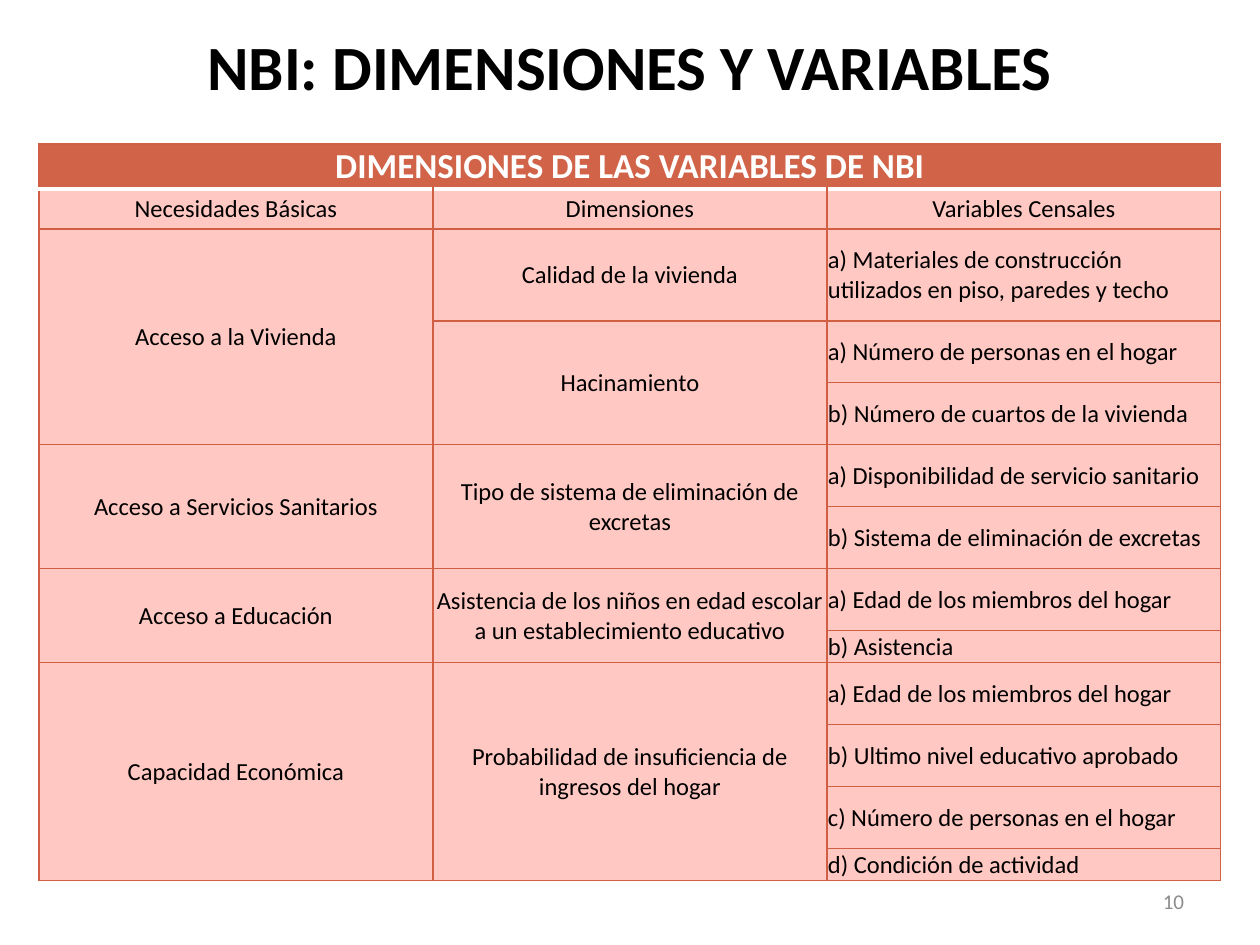
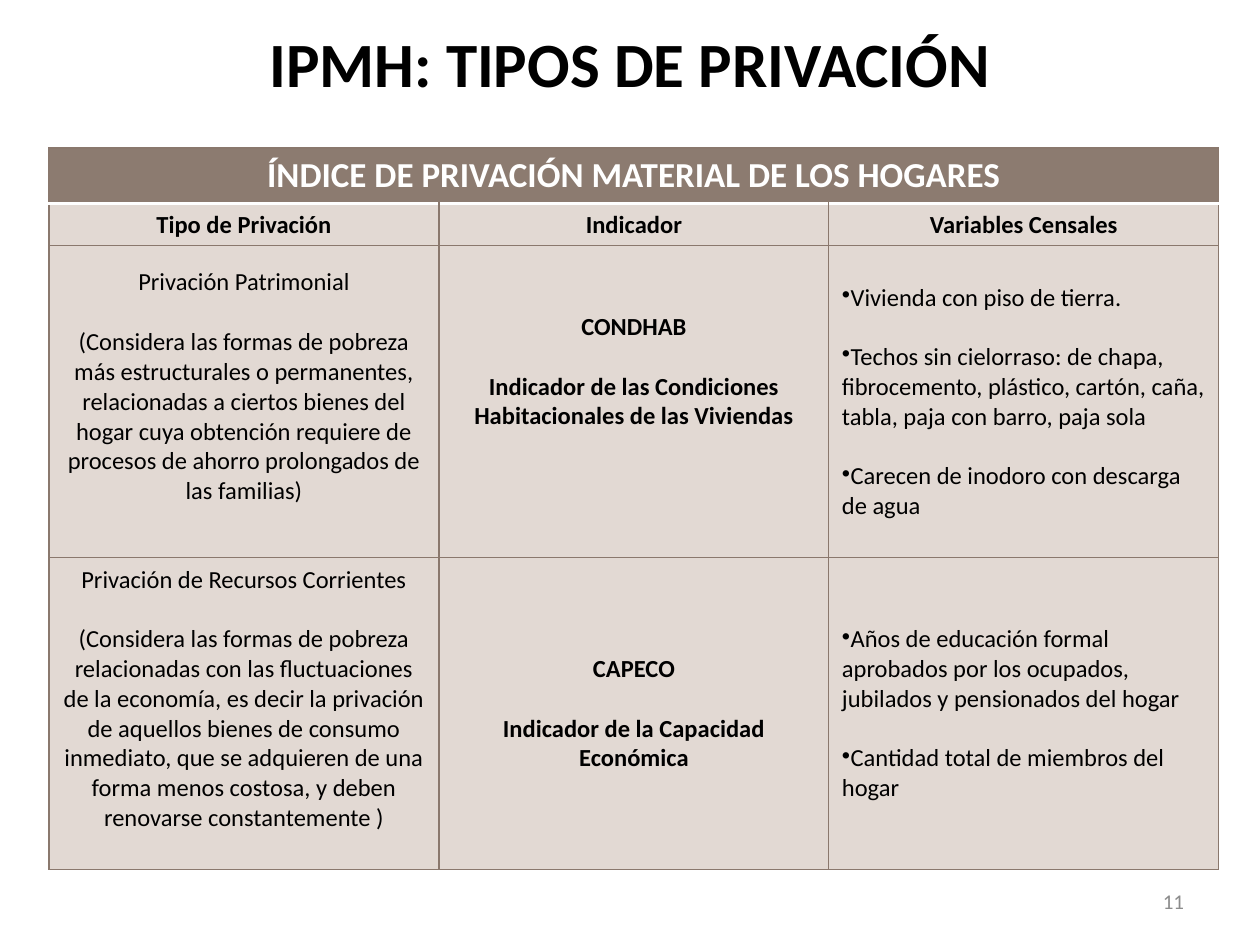
from dataclasses import dataclass

from lxml import etree
from pptx import Presentation
from pptx.dml.color import RGBColor
from pptx.enum.text import MSO_ANCHOR, PP_ALIGN
from pptx.oxml.ns import qn
from pptx.util import Emu, Pt

CENTER, LEFT, RIGHT = PP_ALIGN.CENTER, PP_ALIGN.LEFT, PP_ALIGN.RIGHT
MIDDLE = MSO_ANCHOR.MIDDLE
EMU_PER_PX = 914400 / 126
SLIDE_WIDTH, SLIDE_HEIGHT = 1260, 945
FONT = "Calibri"
TEXT_LINE = 30
COLUMNS = 3
COLORS = {
    "black": "000000",
    "white": "FFFFFF",
    "number": "8C8C8C",
    "red line": "D05F44",
    "red head": "D16349",
    "red body": "FFC8C2",
    "brown line": "8A786D",
    "brown head": "8C7B70",
    "brown body": "E2D9D3",
}
TITLE = {"size": Pt(36), "bold": True, "color": "black"}
HEADING = {"size": Pt(20), "bold": True, "color": "white"}
BODY = {"size": Pt(14), "bold": False, "color": "black"}
STRONG = {**BODY, "bold": True}
NUMBER = {"size": Pt(12), "bold": False, "color": "number"}


@dataclass(frozen=True)
class Entry:
    """Text of one table cell, with the rows it spans and free lines below it."""

    row: int
    column: int
    paragraphs: tuple[str, ...]
    row_span: int = 1
    style: str = "body"
    lines_below: int = 0


@dataclass(frozen=True)
class TableSlide:
    """A titled slide with one three-column table."""

    title: str
    title_height: int
    number: int
    heading: str
    palette: str
    left: int
    top: int
    column_width: int
    row_heights: tuple[int, ...]
    margins: tuple[int, int, int, int]
    entries: tuple[Entry, ...]
    bullets: bool = False


def column_entries(column: int, spans: tuple[tuple[str, int], ...]) -> tuple[Entry, ...]:
    """Stack cells down a column from the second row."""
    entries, row = [], 1
    for text, span in spans:
        entries.append(Entry(row, column, (text,), span))
        row += span
    return tuple(entries)


NEEDS = (
    ("Necesidades Básicas", 1),
    ("Acceso a la Vivienda", 3),
    ("Acceso a Servicios Sanitarios", 2),
    ("Acceso a Educación", 2),
    ("Capacidad Económica", 4),
)
DIMENSIONS = (
    ("Dimensiones", 1),
    ("Calidad de la vivienda", 1),
    ("Hacinamiento", 2),
    ("Tipo de sistema de eliminación de excretas", 2),
    ("Asistencia de los niños en edad escolar a un establecimiento educativo", 2),
    ("Probabilidad de insuficiencia de ingresos del hogar", 4),
)
VARIABLES = (
    "Variables Censales",
    "a) Materiales de construcción utilizados en piso, paredes y techo",
    "a) Número de personas en el hogar",
    "b) Número de cuartos de la vivienda",
    "a) Disponibilidad de servicio sanitario",
    "b) Sistema de eliminación de excretas",
    "a) Edad de los miembros del hogar",
    "b) Asistencia",
    "a) Edad de los miembros del hogar",
    "b) Ultimo nivel educativo aprobado",
    "c) Número de personas en el hogar",
    "d) Condición de actividad",
)
DEPRIVATIONS = (
    Entry(1, 0, ("Tipo de Privación",), style="strong"),
    Entry(1, 1, ("Indicador",), style="strong"),
    Entry(1, 2, ("Variables Censales",), style="strong"),
    Entry(2, 0, (
        "Privación Patrimonial",
        "(Considera las formas de pobreza más estructurales o permanentes, "
        "relacionadas a ciertos bienes del hogar cuya obtención requiere de "
        "procesos de ahorro prolongados de las familias)",
    ), lines_below=1),
    Entry(2, 1, (
        "CONDHAB",
        "Indicador de las Condiciones Habitacionales de las Viviendas",
    ), style="strong", lines_below=2),
    Entry(2, 2, (
        "Vivienda con piso de tierra.",
        "Techos sin cielorraso: de chapa, fibrocemento, plástico, cartón, caña, "
        "tabla, paja con barro, paja sola",
        "Carecen de inodoro con descarga de agua",
    )),
    Entry(3, 0, (
        "Privación de Recursos Corrientes",
        "(Considera las formas de pobreza relacionadas con las fluctuaciones de la "
        "economía, es decir la privación de aquellos bienes de consumo inmediato, "
        "que se adquieren de una forma menos costosa, y deben renovarse "
        "constantemente )",
    ), lines_below=1),
    Entry(3, 1, ("CAPECO", "Indicador de la Capacidad Económica"), style="strong"),
    Entry(3, 2, (
        "Años de educación formal aprobados por los ocupados, jubilados y "
        "pensionados del hogar",
        "Cantidad total de miembros del hogar",
    )),
)
SLIDES = (
    TableSlide(
        "NBI: DIMENSIONES Y VARIABLES", 130, 10, "DIMENSIONES DE LAS VARIABLES DE NBI",
        "red", 39, 144, 394, (45, 40, 92, *(62,) * 5, 32, *(62,) * 3, 32), (1, 1, 1, 0),
        column_entries(0, NEEDS) + column_entries(1, DIMENSIONS)
        + column_entries(2, tuple((text, 1) for text in VARIABLES)),
    ),
    TableSlide(
        "IPMH: TIPOS DE PRIVACIÓN", 125, 11, "ÍNDICE DE PRIVACIÓN MATERIAL DE LOS HOGARES",
        "brown", 49, 148, 390, (56, 42, 312, 312), (13, 6, 13, 6), DEPRIVATIONS, True,
    ),
)


def px(length: int) -> Emu:
    """Turn pixels into EMU."""
    return Emu(round(length * EMU_PER_PX))


def set_values(target, values: dict) -> None:
    """Set each named attribute on the target."""
    for name, value in values.items():
        setattr(target, name, value)


def write_text(frame, paragraphs: tuple[str, ...], style: dict, alignment, bullets=False) -> None:
    """Write styled paragraphs, one line apart, into a text frame."""
    for index, text in enumerate(paragraphs):
        paragraph = frame.paragraphs[0] if index == 0 else frame.add_paragraph()
        paragraph.alignment = alignment
        if index < len(paragraphs) - 1:
            paragraph.space_after = Pt(17)
        run = paragraph.add_run()
        run.text = text
        values = {name: value for name, value in style.items() if name != "color"}
        set_values(run.font, {"name": FONT, **values})
        run.font.color.rgb = RGBColor.from_string(COLORS[style["color"]])
        if bullets:
            properties = paragraph._p.get_or_add_pPr()
            etree.SubElement(properties, qn("a:buChar"), char="•")


def add_text(slide, box: tuple[int, int, int, int], text: str, style: dict, alignment) -> None:
    """Add a vertically centred text box."""
    frame = slide.shapes.add_textbox(*map(px, box)).text_frame
    set_values(frame, {
        "word_wrap": True, "vertical_anchor": MIDDLE,
        "margin_left": px(13), "margin_right": px(13),
    })
    write_text(frame, (text,), style, alignment)


def set_borders(cell, line_color: str, row: int) -> None:
    """Outline a cell, with a thick white rule under the heading row."""
    properties = cell._tc.get_or_add_tcPr()
    white_side = {0: "lnB", 1: "lnT"}.get(row)
    for position, side in enumerate(("lnL", "lnR", "lnT", "lnB")):
        is_white = side == white_side
        line = etree.Element(qn(f"a:{side}"), w=str(Pt(2 if is_white else 0.75)))
        fill = etree.SubElement(line, qn("a:solidFill"))
        color = COLORS["white" if is_white else line_color]
        etree.SubElement(fill, qn("a:srgbClr"), val=color)
        properties.insert(position, line)


def fill_cell(table, entry: Entry, design: TableSlide) -> None:
    """Merge, align and write one table cell."""
    cell = table.cell(entry.row, entry.column)
    if entry.row == 0:
        cell.merge(table.cell(0, COLUMNS - 1))
    elif entry.row_span > 1:
        cell.merge(table.cell(entry.row + entry.row_span - 1, entry.column))
    left, top, right, bottom = design.margins
    set_values(cell, {
        "vertical_anchor": MIDDLE,
        "margin_left": px(left),
        "margin_top": px(top),
        "margin_right": px(right),
        "margin_bottom": px(bottom + entry.lines_below * TEXT_LINE),
    })
    style = {"heading": HEADING, "strong": STRONG, "body": BODY}[entry.style]
    is_list = entry.row > 1 and entry.column == COLUMNS - 1
    alignment = LEFT if is_list else CENTER
    write_text(cell.text_frame, entry.paragraphs, style, alignment, is_list and design.bullets)


def add_table(slide, design: TableSlide) -> None:
    """Add the table with its heading, cells, fills and borders."""
    row_count = len(design.row_heights)
    width, height = COLUMNS * design.column_width, sum(design.row_heights)
    table = slide.shapes.add_table(
        row_count, COLUMNS, px(design.left), px(design.top), px(width), px(height)
    ).table
    set_values(table, {"first_row": False, "horz_banding": False})
    for column in table.columns:
        column.width = px(design.column_width)
    for row, row_height in zip(table.rows, design.row_heights):
        row.height = px(row_height)
    for entry in (Entry(0, 0, (design.heading,), style="heading"), *design.entries):
        fill_cell(table, entry, design)
    for row_index in range(row_count):
        part = "body" if row_index else "head"
        for column_index in range(COLUMNS):
            cell = table.cell(row_index, column_index)
            cell.fill.solid()
            cell.fill.fore_color.rgb = RGBColor.from_string(COLORS[f"{design.palette} {part}"])
            set_borders(cell, f"{design.palette} line", row_index)


def main() -> None:
    """Build and save the presentation."""
    presentation = Presentation()
    set_values(presentation, {"slide_width": px(SLIDE_WIDTH), "slide_height": px(SLIDE_HEIGHT)})
    for design in SLIDES:
        slide = presentation.slides.add_slide(presentation.slide_layouts[6])
        add_table(slide, design)
        add_text(slide, (0, 0, SLIDE_WIDTH, design.title_height), design.title, TITLE, CENTER)
        add_text(slide, (903, 876, 294, 50), str(design.number), NUMBER, RIGHT)
    presentation.save("out.pptx")


if __name__ == "__main__":
    main()
